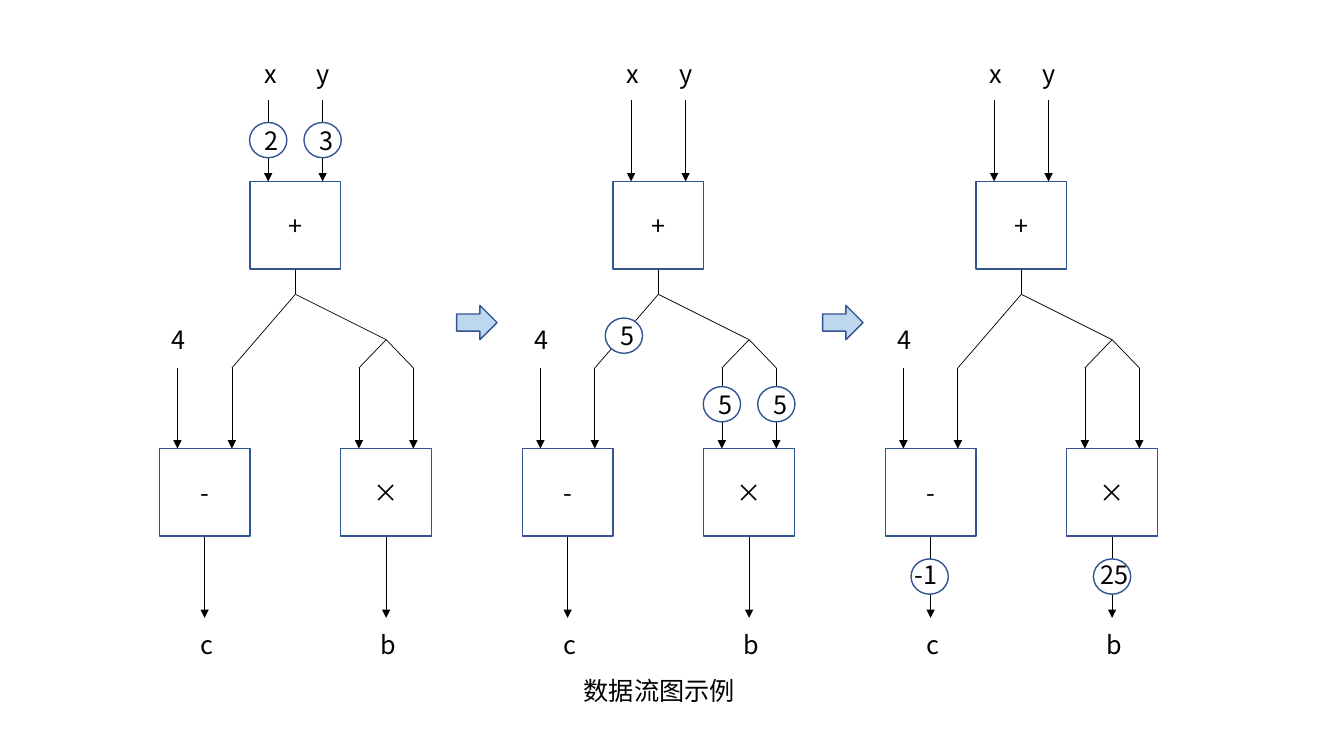
from pptx import Presentation
from pptx.dml.color import RGBColor
from pptx.enum.shapes import MSO_CONNECTOR, MSO_SHAPE
from pptx.enum.text import MSO_ANCHOR, PP_ALIGN
from pptx.oxml.ns import qn
from pptx.util import Inches, Pt
from lxml import etree

RECT, OVAL, ARROW = MSO_SHAPE.RECTANGLE, MSO_SHAPE.OVAL, MSO_SHAPE.RIGHT_ARROW
STRAIGHT = MSO_CONNECTOR.STRAIGHT
CENTER, MIDDLE, TOP = PP_ALIGN.CENTER, MSO_ANCHOR.MIDDLE, MSO_ANCHOR.TOP
FONT = {"name": "Noto Sans CJK SC", "size": Pt(18)}
COL, LEFT, STAGES = 0.9, 1.58, 3
STAGE_W = 4 * COL
NODE_H, TOKEN_W, TOKEN_H = 0.87, 0.37, 0.35
IN_Y, PLUS_Y, FORK_Y, SPLIT_Y = 0.99, 1.8, 2.92, 3.37
PORT_Y, NODE_Y, OUT_Y, END_Y = 3.65, 4.45, 5.32, 6.13


def rgb(value):
    return RGBColor.from_string(value)


def put(box, text, kind=None, fill="FFFFFF"):
    box = [Inches(v) for v in box]
    if kind is None:
        sp = s.shapes.add_textbox(*box)
    else:
        sp = s.shapes.add_shape(kind, *box)
        sp.shadow.inherit = False
        sp.fill.solid()
        sp.fill.fore_color.rgb = rgb(fill)
        sp.line.color.rgb = rgb("325491")
        sp.line.width = Pt(1)
    if text:
        tf = sp.text_frame
        tf.word_wrap = True
        tf.vertical_anchor = MIDDLE if kind else TOP
        p = tf.paragraphs[0]
        if kind:
            p.alignment = CENTER
        r = p.add_run()
        r.text = text
        for key, value in FONT.items():
            setattr(r.font, key, value)
        r.font.color.rgb = rgb("000000")
        ea = etree.SubElement(r.font._element, qn("a:ea"))
        ea.set("typeface", FONT["name"])


prs = Presentation()
prs.slide_width, prs.slide_height = Inches(13.33), Inches(7.5)
s = prs.slides.add_slide(prs.slide_layouts[6])

edges = [
    (1.2, IN_Y, 1.2, PLUS_Y, True),
    (1.8, IN_Y, 1.8, PLUS_Y, True),
    (1.5, PLUS_Y + NODE_H, 1.5, FORK_Y, False),
    (1.5, FORK_Y, 0.8, PORT_Y, False),
    (1.5, FORK_Y, 2.5, SPLIT_Y, False),
    (2.5, SPLIT_Y, 2.2, PORT_Y, False),
    (2.5, SPLIT_Y, 2.8, PORT_Y, False),
]
edges += [(col, PORT_Y, col, NODE_Y, True) for col in (0.2, 0.8, 2.2, 2.8)]
edges += [(col, OUT_Y, col, END_Y, True) for col in (0.5, 2.5)]
nodes = [(1, PLUS_Y, "+"), (0, NODE_Y, "-"), (2, NODE_Y, "×")]
labels = [
    (0.94, 0.53, "x"), (1.46, 0.53, "y"), (0.02, 3.17, "4"),
    (0.31, 6.19, "c"), (2.1, 6.19, "b"),
]
tokens = [
    [(1.2, 1.39, "2"), (1.8, 1.39, "3")],
    [(1.12, 3.33, "5"), (2.2, 4.01, "5"), (2.8, 4.01, "5")],
    [(0.49, 5.72, ""), (2.5, 5.72, "")],
]

for stage in range(STAGES):
    x0 = LEFT + stage * STAGE_W
    for c1, y1, c2, y2, arrow in edges:
        ends = (x0 + c1 * COL, y1, x0 + c2 * COL, y2)
        line = s.shapes.add_connector(STRAIGHT, *[Inches(v) for v in ends])
        line.line.color.rgb = rgb("000000")
        line.line.width = Pt(0.5)
        if arrow:
            tail = etree.SubElement(line.line._get_or_add_ln(), qn("a:tailEnd"))
            tail.set("type", "triangle")
        etree.SubElement(line._element.spPr, qn("a:effectLst"))
    for col, y, text in nodes:
        put((x0 + col * COL, y, COL, NODE_H), text, RECT)
    for col, y, text in tokens[stage]:
        put((x0 + col * COL - TOKEN_W / 2, y - TOKEN_H / 2, TOKEN_W, TOKEN_H), text, OVAL)
    for dx, y, text in labels:
        put((x0 + dx, y, 0.29, 0.4), text)

for x, text in ((8.97, "-1"), (10.82, "25")):
    put((x, 5.5, 0.51, 0.4), text)
for x in (4.53, 8.16):
    put((x, 3.03, 0.4, 0.34), "", ARROW, "BDD7EE")
put((5.69, 6.65, 1.96, 0.4), "数据流图示例")

prs.save("out.pptx")
